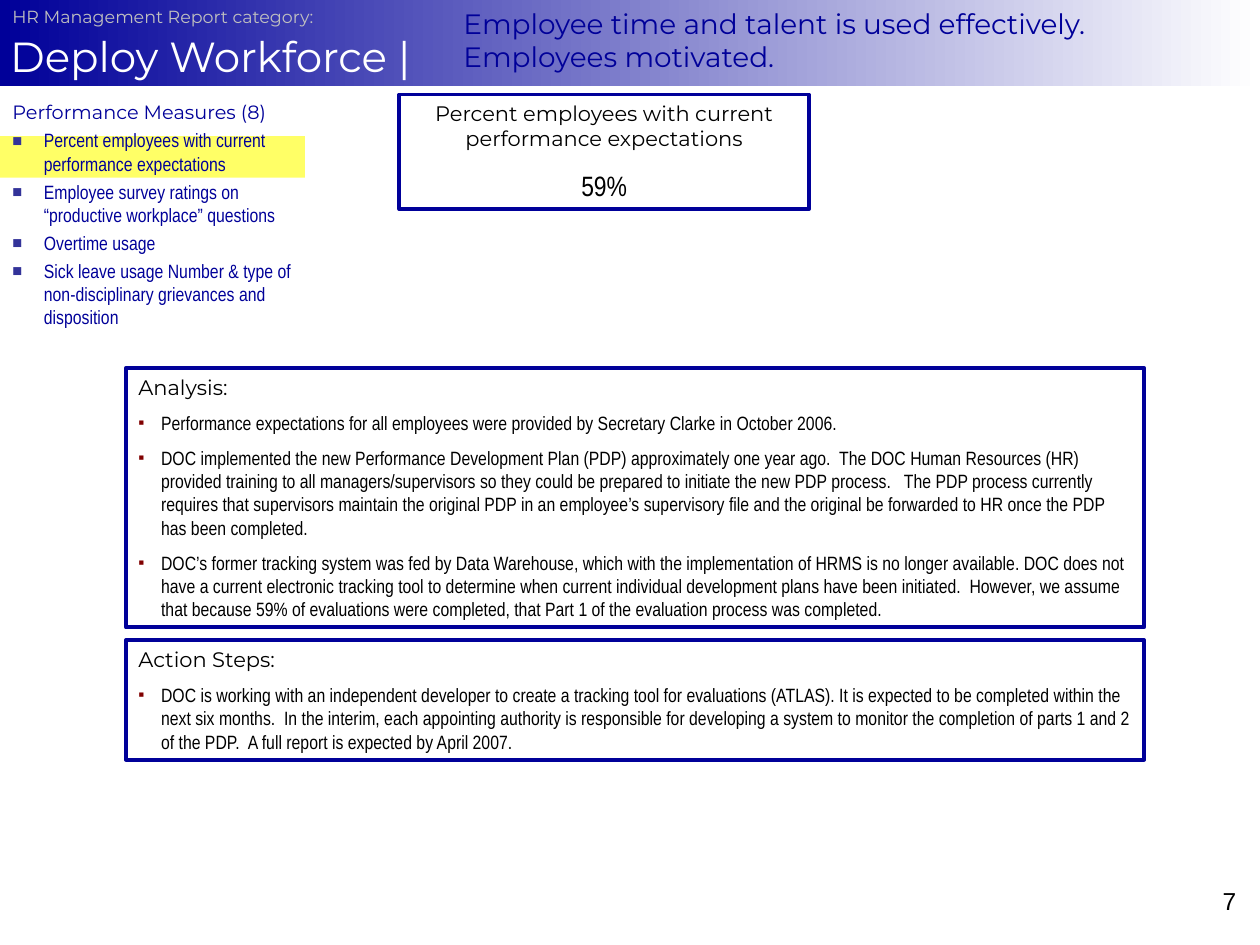
import pptx
import pptx.util
import pptx.dml.color
import pptx.enum.shapes
import pptx.enum.text
import pptx.oxml.ns
import lxml.etree

Inches = pptx.util.Inches
Pt = pptx.util.Pt
ALIGN = pptx.enum.text.PP_ALIGN
HEAD = "Montserrat"
BODY = "Arial Narrow"
NAVY = "000099"
BLACK = "000000"


def paint(code):
    return pptx.dml.color.RGBColor.from_string(code)


class Page:
    def __init__(self, deck):
        self.slide = deck.slides.add_slide(deck.slide_layouts[5])

    def frame(self, shape, side=0.1, edge=0.05):
        text = shape.text_frame
        text.word_wrap = True
        text.auto_size = pptx.enum.text.MSO_AUTO_SIZE.NONE
        text.vertical_anchor = pptx.enum.text.MSO_ANCHOR.TOP
        text.margin_left = text.margin_right = Inches(side)
        text.margin_top = text.margin_bottom = Inches(edge)
        return text

    def para(self, text, words, size, font=BODY, color=BLACK, gap=0,
             align=ALIGN.LEFT, indent=0, mark=None):
        first = not text.paragraphs[0].runs
        para = text.paragraphs[0] if first else text.add_paragraph()
        para.alignment = align
        para.space_before = Pt(0 if first else gap)
        if indent:
            props = para._p.get_or_add_pPr()
            props.set("marL", str(Inches(indent)))
            props.set("indent", str(-Inches(indent)))
            if mark:
                self.bullet(props, *mark)
        run = para.add_run()
        run.text = words
        run.font.size = Pt(size)
        run.font.name = font
        run.font.color.rgb = paint(color)
        return para

    def bullet(self, props, char, color, scale):
        def add(root, tag, **attrs):
            return lxml.etree.SubElement(root, pptx.oxml.ns.qn(tag), **attrs)

        add(add(props, "a:buClr"), "a:srgbClr", val=color)
        add(props, "a:buSzPct", val=str(scale * 1000))
        add(props, "a:buFont", typeface="Arial")
        add(props, "a:buChar", char=char)

    def title(self, words, left, top, width, height):
        shape = self.slide.shapes.title
        shape.left, shape.top = Inches(left), Inches(top)
        shape.width, shape.height = Inches(width), Inches(height)
        shape.fill.gradient()
        shape.fill.gradient_angle = 0
        for stop, color in zip(shape.fill.gradient_stops, (NAVY, "FFFFFF")):
            stop.color.rgb = paint(color)
        para = self.para(self.frame(shape, 0.08, 0.04), words, 24, HEAD, "FFFFFF")
        para.line_spacing = 1.5

    def text(self, left, top, width, height):
        return self.frame(self.slide.shapes.add_textbox(
            Inches(left), Inches(top), Inches(width), Inches(height)))

    def rect(self, left, top, width, height, fill=None, line=None):
        shape = self.slide.shapes.add_shape(
            pptx.enum.shapes.MSO_SHAPE.RECTANGLE,
            Inches(left), Inches(top), Inches(width), Inches(height))
        shape.shadow.inherit = False
        if fill:
            shape.fill.solid()
            shape.fill.fore_color.rgb = paint(fill)
        else:
            shape.fill.background()
        if line:
            shape.line.color.rgb = paint(line)
            shape.line.width = Pt(2.25)
        else:
            shape.line.fill.background()
        return shape

    def panel(self, top, height, head, items):
        text = self.frame(self.rect(1, top, 8.08, height, line=NAVY))
        self.para(text, head, 12, HEAD, indent=0.18)
        for item in items:
            self.para(text, item, 11, gap=6.9, indent=0.18,
                      mark=("▪", "800000", 90))


def main():
    deck = pptx.Presentation()
    deck.slide_width, deck.slide_height = Inches(10), Inches(7.5)
    page = Page(deck)

    page.title("Deploy Workforce |", 0, 0, 10, 0.68)
    page.para(page.text(3.58, 0, 6.08, 0.64),
              "Employee time and talent is used effectively. Employees motivated.",
              16, HEAD, NAVY)
    page.para(page.text(0, 0, 3, 0.27), "HR Management Report category:",
              10, HEAD, "C0C0C0")

    page.rect(0, 1.08, 2.42, 0.33, fill="FFFF66")
    goals = page.text(0, 0.75, 2.42, 2.08)
    page.para(goals, "Performance Measures (8)", 11, HEAD, NAVY, indent=0.25)
    for goal in (
        "Percent employees with current performance expectations",
        "Employee survey ratings on “productive workplace” questions",
        "Overtime usage",
        "Sick leave usage Number & type of non-disciplinary grievances and disposition",
    ):
        page.para(goals, goal, 11, color=NAVY, gap=2.8, indent=0.25,
                  mark=("■", "333399", 85))

    score = page.frame(page.rect(3.17, 0.75, 3.25, 0.91, line=NAVY))
    page.para(score, "Percent employees with current performance expectations",
              12, HEAD, align=ALIGN.CENTER)
    page.para(score, "59%", 16, gap=10, align=ALIGN.CENTER)

    page.panel(2.92, 2.06, "Analysis:", [
        "Performance expectations for all employees were provided by Secretary "
        "Clarke in October 2006.",
        "DOC implemented the new Performance Development Plan (PDP) approximately "
        "one year ago.  The DOC Human Resources (HR) provided training to all "
        "managers/supervisors so they could be prepared to initiate the new PDP "
        "process.   The PDP process currently requires that supervisors maintain "
        "the original PDP in an employee’s supervisory file and the original be "
        "forwarded to HR once the PDP has been completed.",
        "DOC’s former tracking system was fed by Data Warehouse, which with the "
        "implementation of HRMS is no longer available. DOC does not have a "
        "current electronic tracking tool to determine when current individual "
        "development plans have been initiated.  However, we assume that because "
        "59% of evaluations were completed, that Part 1 of the evaluation process "
        "was completed.",
    ])
    page.panel(5.08, 0.95, "Action Steps:", [
        "DOC is working with an independent developer to create a tracking tool "
        "for evaluations (ATLAS). It is expected to be completed within the next "
        "six months.  In the interim, each appointing authority is responsible "
        "for developing a system to monitor the completion of parts 1 and 2 of "
        "the PDP.  A full report is expected by April 2007.",
    ])
    page.para(page.text(7.58, 6.98, 2.33, 0.52), "7", 14, "Arial",
              align=ALIGN.RIGHT)

    deck.save("out.pptx")


if __name__ == "__main__":
    main()
